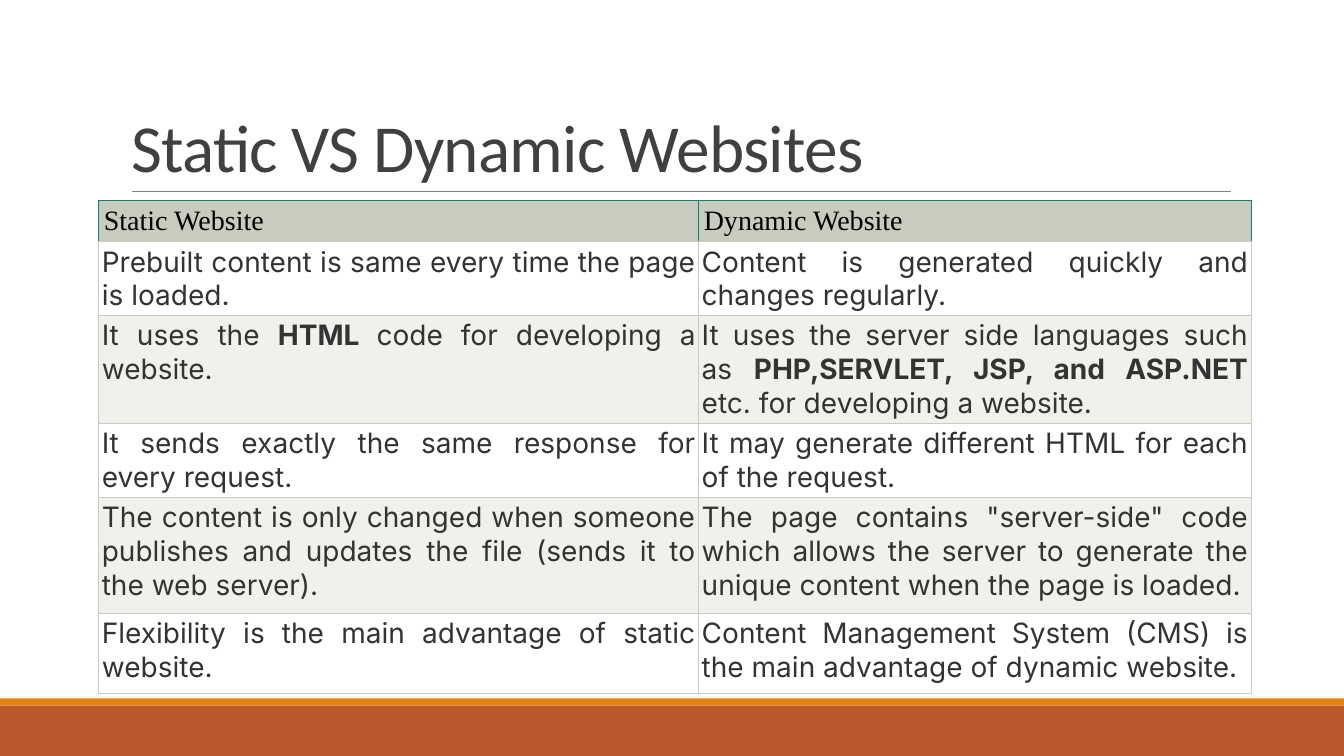
import pptx
import pptx.util
import pptx.dml.color
import pptx.enum.shapes
import pptx.enum.text
from lxml import etree
from pptx.util import Inches, Pt

TITLE = "Static VS Dynamic Websites"
HEAD = ["Static Website", "Dynamic Website"]
# Asterisks enclose bold words.
BODY = [
    ["Prebuilt content is same every time the page is loaded.",
     "Content is generated quickly and changes regularly."],
    ["It uses the *HTML *code for developing a website.",
     "It uses the server side languages such as "
     "*PHP,SERVLET, JSP, and ASP.NET *etc. for developing a website."],
    ["It sends exactly the same response for every request.",
     "It may generate different HTML for each of the request."],
    ["The content is only changed when someone publishes and updates "
     "the file (sends it to the web server).",
     'The page contains "server-side" code which allows the server to '
     "generate the unique content when the page is loaded."],
    ["Flexibility is the main advantage of static website.",
     "Content Management System (CMS) is the main advantage of "
     "dynamic website."],
]
COLS = [5.95, 5.48]
ROWS = [0.28, 0.61, 0.97, 0.61, 1.15, 0.79]
BANDS = [(7, 0.5, "BD582C"), (6.93, 0.07, "E48312")]
SAGE, TEAL = "C7CCBE", "108273"
ALIGN = pptx.enum.text.PP_ALIGN


def color(code):
    return pptx.dml.color.RGBColor.from_string(code)


def write(frame, text, size=20, font="Inter", fill="333333",
          align=ALIGN.JUSTIFY, space=None, track=None):
    para = frame.paragraphs[0]
    para.alignment = align
    if space:
        para.line_spacing = space
    for i, part in enumerate(text.split("*")):
        run = para.add_run()
        run.text = part
        run.font.size = Pt(size)
        run.font.name = font
        run.font.bold = i % 2 == 1
        run.font.color.rgb = color(fill)
        if track:
            run.font._element.set("spc", str(round(track * 100)))


def edge(cell, sides):
    """Draw half-point cell borders, given a colour for each side."""
    props = cell._tc.get_or_add_tcPr()
    for side in "LRTB":
        line = etree.SubElement(props, pptx.oxml.ns.qn("a:ln" + side),
                                w=str(Pt(0.5)))
        fill = etree.SubElement(line, pptx.oxml.ns.qn("a:solidFill"))
        etree.SubElement(fill, pptx.oxml.ns.qn("a:srgbClr"), val=sides[side])


def main():
    deck = pptx.Presentation()
    deck.slide_width, deck.slide_height = Inches(13.33), Inches(7.5)
    slide = deck.slides.add_slide(deck.slide_layouts[5])
    shapes = slide.shapes

    for top, high, fill in BANDS:
        band = shapes.add_shape(pptx.enum.shapes.MSO_SHAPE.RECTANGLE, 0,
                                Inches(top), deck.slide_width, Inches(high))
        band.shadow.inherit = False
        band.fill.solid()
        band.fill.fore_color.rgb = color(fill)
        band.line.fill.background()

    rule = shapes.add_connector(pptx.enum.shapes.MSO_CONNECTOR.STRAIGHT,
                                Inches(1.31), Inches(1.9),
                                Inches(12.21), Inches(1.9))
    rule.line.color.rgb = color("808080")
    rule.line.width = Pt(0.5)
    etree.SubElement(rule._element.spPr, pptx.oxml.ns.qn("a:effectLst"))

    title = shapes.title
    title.left, title.top = Inches(1.2), Inches(0.31)
    title.width, title.height = Inches(11), Inches(1.59)
    frame = title.text_frame
    frame.word_wrap = True
    frame.auto_size = pptx.enum.text.MSO_AUTO_SIZE.NONE
    frame.vertical_anchor = pptx.enum.text.MSO_ANCHOR.BOTTOM
    write(frame, TITLE, size=48, font="Calibri", fill="404040",
          align=ALIGN.LEFT, space=0.85, track=-0.5)

    grid = shapes.add_table(len(ROWS), len(COLS), Inches(0.98), Inches(1.99),
                            Inches(sum(COLS)), Inches(4.9))
    table = grid.table
    for col, wide in zip(table.columns, COLS):
        col.width = Inches(wide)
    for row, high in zip(table.rows, ROWS):
        row.height = Inches(high)
    grid.height = Inches(4.9)

    for r, texts in enumerate([HEAD] + BODY):
        for c, text in enumerate(texts):
            cell = table.cell(r, c)
            pad = Inches(0.03 if r else 0.05)
            cell.margin_left = cell.margin_right = pad
            cell.margin_top = cell.margin_bottom = pad
            if r:
                edge(cell, dict.fromkeys("LRTB", SAGE))
                fill = "FFFFFF" if r % 2 else "EFF1EB"
                write(cell.text_frame, text)
            else:
                edge(cell, {"L": TEAL, "R": TEAL, "T": TEAL, "B": SAGE})
                fill = SAGE
                write(cell.text_frame, text, font="Times New Roman",
                      fill="000000", align=ALIGN.LEFT)
            cell.fill.solid()
            cell.fill.fore_color.rgb = color(fill)

    deck.save("out.pptx")


if __name__ == "__main__":
    main()
